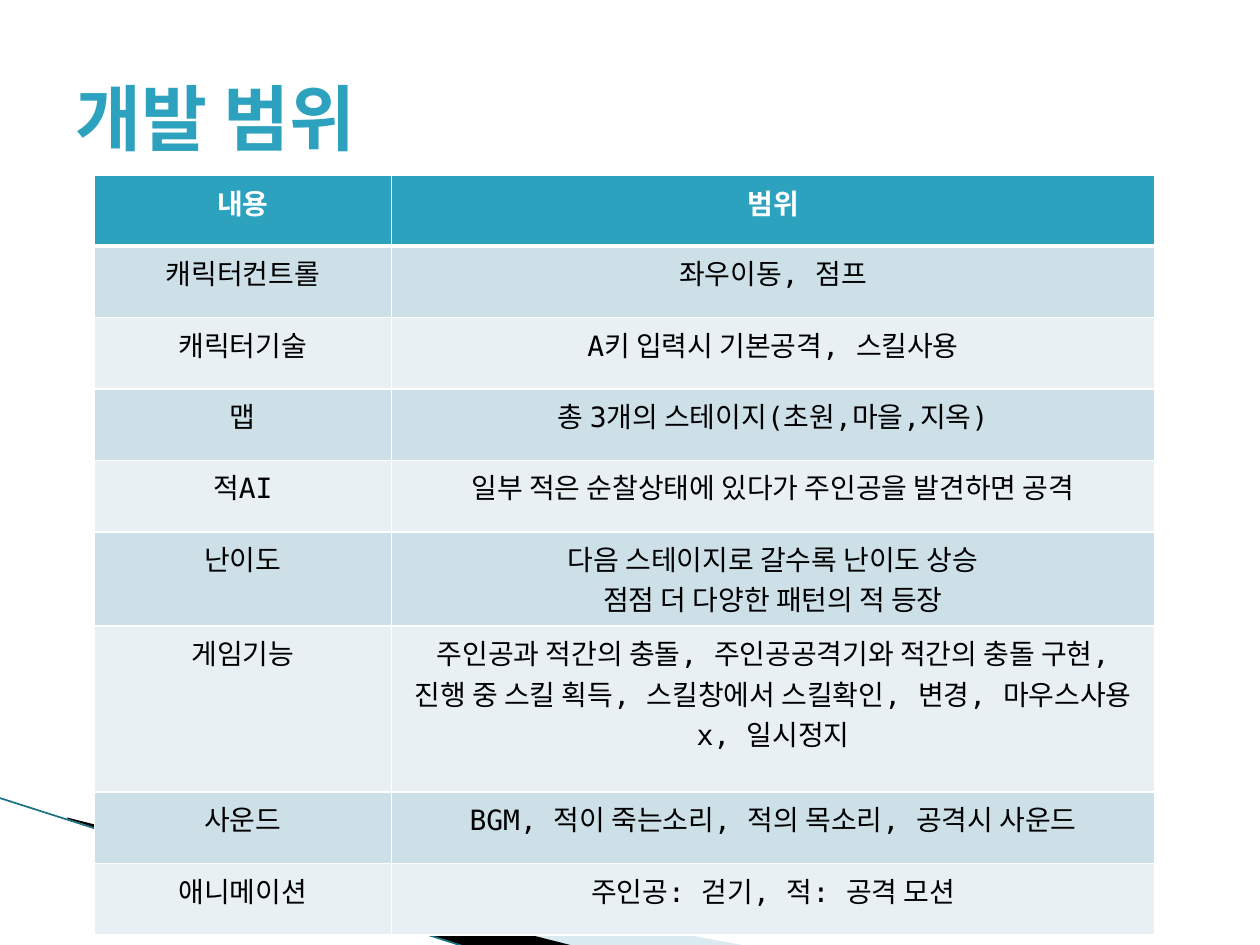
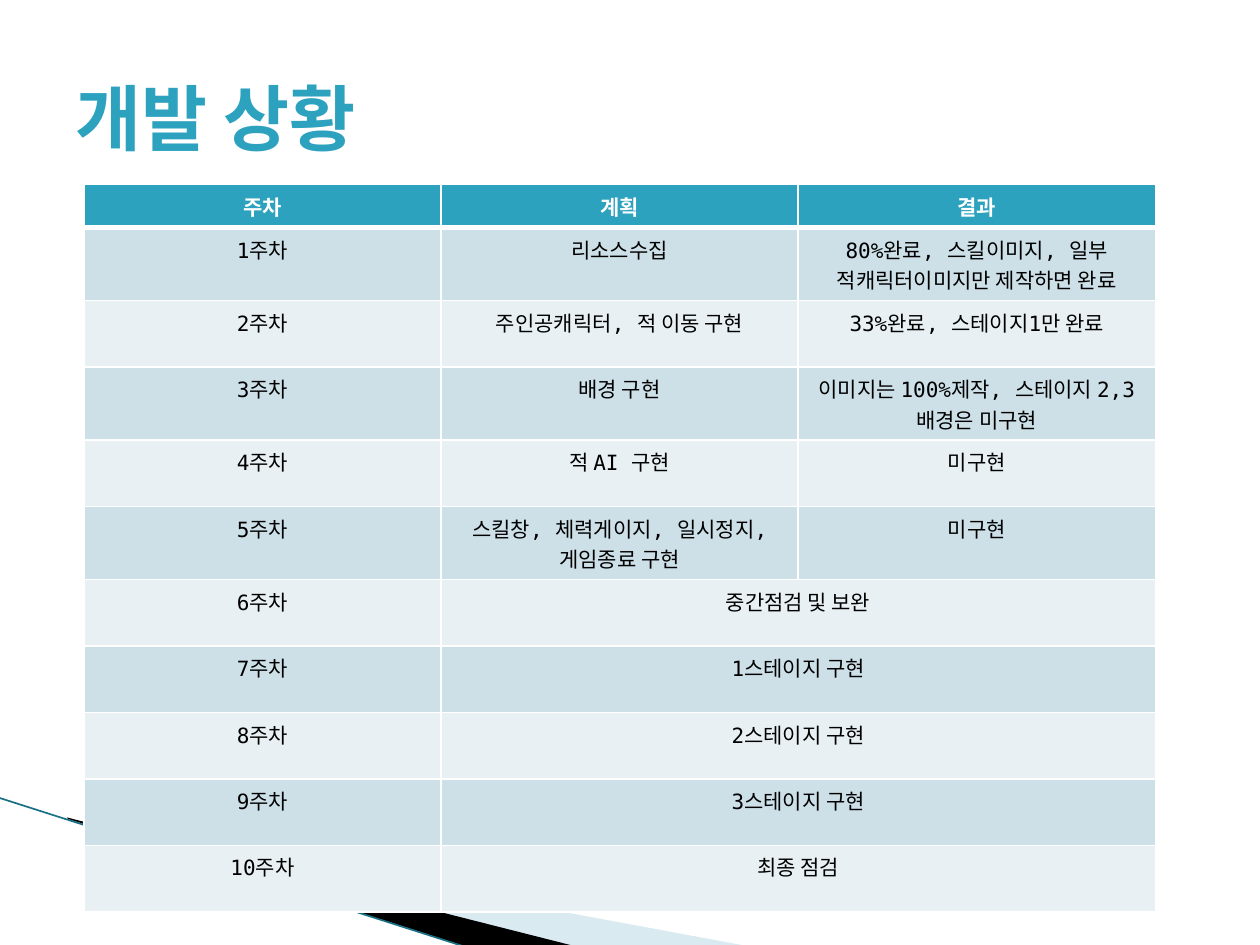
from lxml.etree import SubElement
from pptx import Presentation
from pptx.dml.color import RGBColor
from pptx.enum.shapes import MSO_CONNECTOR as Connector
from pptx.enum.text import MSO_ANCHOR as Anchor, PP_ALIGN as Align
from pptx.oxml.ns import qn
from pptx.util import Cm, Pt

TEAL, WHITE, BLACK = "2DA2BF", "FFFFFF", "000000"
BANDS = ("CDE0E8", "E8F0F4")
SWOOSH_PALE, SWOOSH_EDGE = "A0CBDC", "1A7083"
KOREAN, MONO = "Noto Sans CJK KR", "DejaVu Sans Mono"

TITLE_FORMAT = dict(name=KOREAN, size=Pt(41), bold=True)
SCOPE_ROWS = [
    ("내용", "범위"),
    ("캐릭터컨트롤", "좌우이동, 점프"),
    ("캐릭터기술", "A키 입력시 기본공격, 스킬사용"),
    ("맵", "총 3개의 스테이지(초원,마을,지옥)"),
    ("적AI", "일부 적은 순찰상태에 있다가 주인공을 발견하면 공격"),
    ("난이도", "다음 스테이지로 갈수록 난이도 상승\n점점 더 다양한 패턴의 적 등장"),
    ("게임기능", "주인공과 적간의 충돌, 주인공공격기와 적간의 충돌 구현, "
     "진행 중 스킬 획득, 스킬창에서 스킬확인, 변경, 마우스사용x, 일시정지"),
    ("사운드", "BGM, 적이 죽는소리, 적의 목소리, 공격시 사운드"),
    ("애니메이션", "주인공: 걷기, 적: 공격 모션"),
]
SCOPE_TALL_ROWS = {"내용": 1.42, "난이도": 1.9, "게임기능": 3.35}
WEEKLY_PLANS = [
    ("리소스수집", "80%완료, 스킬이미지, 일부 적캐릭터이미지만 제작하면 완료"),
    ("주인공캐릭터, 적 이동 구현", "33%완료, 스테이지1만 완료"),
    ("배경 구현", "이미지는 100%제작, 스테이지 2,3배경은 미구현"),
    ("적 AI 구현", "미구현"),
    ("스킬창, 체력게이지, 일시정지, 게임종료 구현", "미구현"),
    ("중간점검 및 보완",),
    ("1스테이지 구현",),
    ("2스테이지 구현",),
    ("3스테이지 구현",),
    ("최종 점검",),
]
TWO_LINE_WEEKS = (1, 3, 5)


def rgb(value):
    return RGBColor.from_string(value)


def paint(fill, color):
    fill.solid()
    fill.fore_color.rgb = rgb(color)


def write(frame, text, color, font_format, align=Align.LEFT):
    for index, line in enumerate(text.split("\n")):
        paragraph = frame.add_paragraph() if index else frame.paragraphs[0]
        paragraph.alignment = align
        run = paragraph.add_run()
        run.text = line
        run.font.color.rgb = rgb(color)
        for attribute, value in font_format.items():
            setattr(run.font, attribute, value)
        SubElement(run._r.get_or_add_rPr(), qn("a:ea"), typeface=KOREAN)


def add_swoosh(slide, points, color, opacity=100):
    corners = [(Cm(x), Cm(y)) for x, y in points]
    builder = slide.shapes.build_freeform(*corners[0])
    builder.add_line_segments(corners[1:], close=True)
    swoosh = builder.convert_to_shape()
    swoosh.shadow.inherit = False
    paint(swoosh.fill, color)
    swoosh.line.fill.background()
    if opacity < 100:
        tint = swoosh.element.spPr.find(".//" + qn("a:srgbClr"))
        SubElement(tint, qn("a:alpha"), val=str(opacity * 1000))


def add_edge(slide, start, end):
    edge = slide.shapes.add_connector(
        Connector.STRAIGHT, *(Cm(v) for v in start + end))
    edge.line.color.rgb = rgb(SWOOSH_EDGE)
    edge.line.width = Pt(0.95)
    SubElement(edge.element.spPr, qn("a:effectLst"))


def add_title(slide, text):
    title = slide.shapes.add_textbox(Cm(1.27), Cm(0.76), Cm(22.86), Cm(3.18))
    title.text_frame.word_wrap = True
    title.text_frame.vertical_anchor = Anchor.MIDDLE
    write(title.text_frame, text, TEAL, TITLE_FORMAT)


def add_borders(cell, row):
    widths = dict(lnL=1, lnR=1, lnT=3 if row == 1 else 1, lnB=3 if row == 0 else 1)
    properties = cell._tc.get_or_add_tcPr()
    for side, points in widths.items():
        border = SubElement(properties, qn("a:" + side), w=str(Pt(points)))
        SubElement(SubElement(border, qn("a:solidFill")), qn("a:srgbClr"), val=WHITE)


def add_grid(slide, left, top, widths, heights, rows, size):
    grid = slide.shapes.add_table(len(rows), len(widths), Cm(left), Cm(top),
                                  Cm(sum(widths)), Cm(sum(heights))).table
    for column, width in zip(grid.columns, widths):
        column.width = Cm(width)
    for r, (texts, height) in enumerate(zip(rows, heights)):
        grid.rows[r].height = Cm(height)
        header = r == 0
        for c in range(len(widths)):
            cell = grid.cell(r, c)
            add_borders(cell, r)
            paint(cell.fill, TEAL if header else BANDS[(r - 1) % 2])
            if c < len(texts):
                write(cell.text_frame, texts[c], WHITE if header else BLACK,
                      dict(name=MONO, size=Pt(size), bold=header), Align.CENTER)
        if len(texts) < len(widths):
            grid.cell(r, len(texts) - 1).merge(grid.cell(r, len(widths) - 1))


def add_page(deck, title):
    slide = deck.slides.add_slide(deck.slide_layouts[6])
    paint(slide.background.fill, WHITE)
    add_swoosh(slide, [(1.4, 16.54), (15.11, 19.08), (11.58, 19.08), (1.4, 16.51)],
               SWOOSH_PALE, 40)
    add_swoosh(slide, [(1.35, 16.48), (11.61, 19.08), (9.45, 19.1), (1.37, 16.51)], BLACK)
    add_edge(slide, (-0.03, 16.08), (9.42, 19.1))
    add_title(slide, title)
    return slide


def main():
    deck = Presentation()
    deck.slide_width, deck.slide_height = Cm(25.4), Cm(19.05)

    scope = add_page(deck, "개발 범위")
    scope_heights = [SCOPE_TALL_ROWS.get(topic, 1.44) for topic, _ in SCOPE_ROWS]
    add_grid(scope, 1.9, 3.54, [5.99, 15.39], scope_heights, SCOPE_ROWS, 16)

    progress = add_page(deck, "개발 상황")
    weeks = [(f"{week}주차", *plan) for week, plan in enumerate(WEEKLY_PLANS, 1)]
    week_heights = [1.47 if week in TWO_LINE_WEEKS else 1.34
                    for week in range(1, len(weeks) + 1)]
    add_grid(progress, 1.69, 3.72, [7.2] * 3, [0.87] + week_heights,
             [("주차", "계획", "결과")] + weeks, 12)

    deck.save("out.pptx")


main()
